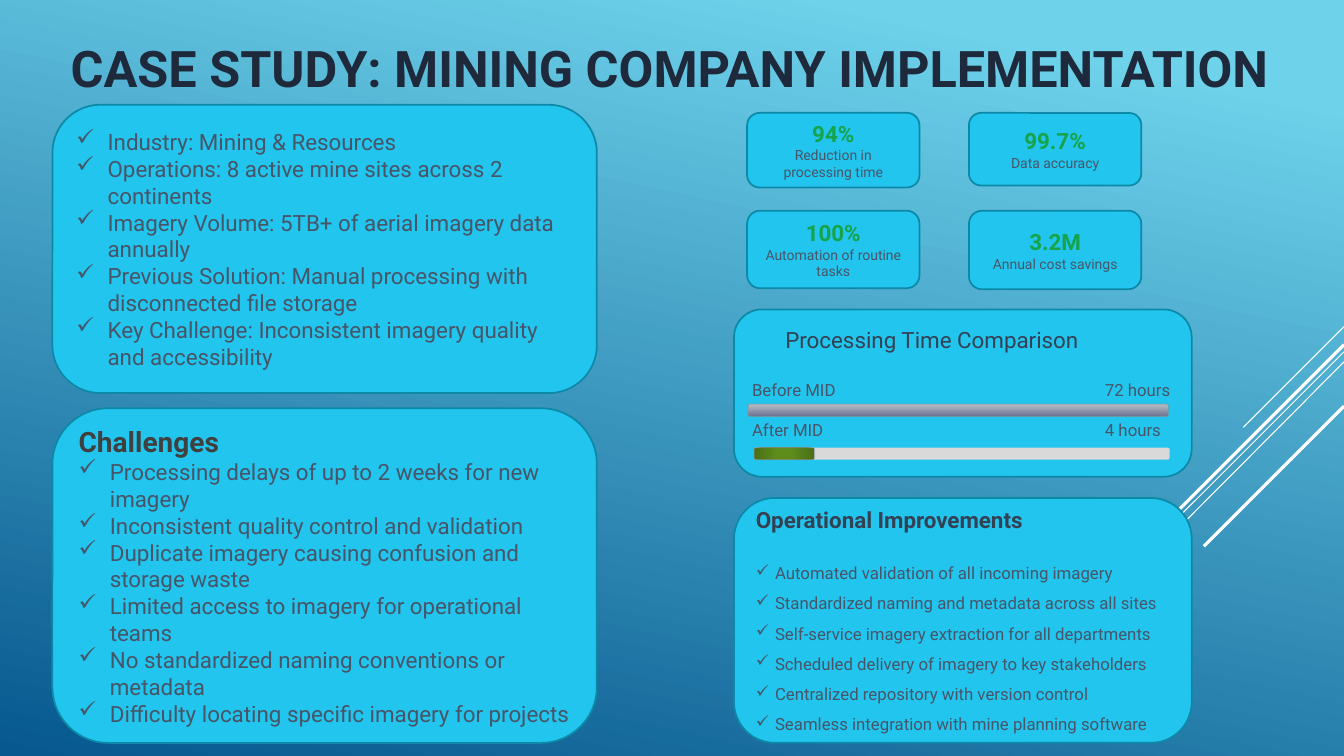
from lxml.etree import SubElement
from pptx import Presentation
from pptx.dml.color import RGBColor
from pptx.enum.shapes import MSO_CONNECTOR, MSO_SHAPE
from pptx.enum.text import MSO_ANCHOR, PP_ALIGN
from pptx.oxml.ns import qn
from pptx.util import Inches, Pt

FONT = "Roboto"
PANEL, EDGE = "22C5ED", "0D89A8"
SLATE, HEADING, GREEN = "475569", "334155", "16A34A"

INDUSTRY = [
    "Industry: Mining & Resources",
    "Operations: 8 active mine sites across 2 continents",
    "Imagery Volume: 5TB+ of aerial imagery data annually",
    "Previous Solution: Manual processing with disconnected file storage",
    "Key Challenge: Inconsistent imagery quality and accessibility",
]
CHALLENGES = [
    "Processing delays of up to 2 weeks for new imagery",
    "Inconsistent quality control and validation",
    "Duplicate imagery causing confusion and storage waste",
    "Limited access to imagery for operational teams",
    "No standardized naming conventions or metadata",
    "Difficulty locating specific imagery for projects",
]
IMPROVEMENTS = [
    "Automated validation of all incoming imagery",
    "Standardized naming and metadata across all sites",
    "Self-service imagery extraction for all departments",
    "Scheduled delivery of imagery to key stakeholders",
    "Centralized repository with version control",
    "Seamless integration with mine planning software",
]
METRICS = [
    ("94%", "Reduction in processing time", 0.74),
    ("99.7%", "Data accuracy", 0.72),
    ("100%", "Automation of routine tasks", 0.77),
    ("3.2M", "Annual cost savings", 0.78),
]
RAYS = [
    (3.24, 12.33, 4.24, 0.75),
    (3.49, 10.07, 6.75, 0.75),
    (3.59, 11.26, 5.67, 0.75),
    (3.42, 11.42, 5.33, 2.25),
    (4.03, 11.94, 5.42, 2.25),
]


def rgb(value):
    """Turn a hex string into a colour."""
    return RGBColor.from_string(value)


def fill_gradient(fill, stops, angle):
    """Give a fill two gradient stops and a clockwise angle."""
    fill.gradient()
    fill.gradient_angle = 360 - angle
    for stop, (position, color) in zip(fill.gradient_stops, stops):
        stop.position = position
        stop.color.rgb = rgb(color)


def add_ray(slide, top, end_x, end_y, weight):
    """Draw a white diagonal from the right edge of the slide."""
    ray = slide.shapes.add_connector(MSO_CONNECTOR.STRAIGHT, Inches(13.33), Inches(top),
                                     Inches(end_x), Inches(end_y))
    ray.line.color.rgb = rgb("FFFFFF")
    ray.line.width = Pt(weight)
    SubElement(ray._element.spPr, qn("a:effectLst"))


def add_rounded(slide, left, top, width, height):
    """Add a rounded rectangle without shadow."""
    shape = slide.shapes.add_shape(MSO_SHAPE.ROUNDED_RECTANGLE, Inches(left), Inches(top),
                                   Inches(width), Inches(height))
    shape.shadow.inherit = False
    return shape


def add_panel(slide, left, top, width, height):
    """Add a cyan panel and return its text frame."""
    panel = add_rounded(slide, left, top, width, height)
    panel.fill.solid()
    panel.fill.fore_color.rgb = rgb(PANEL)
    panel.line.color.rgb = rgb(EDGE)
    panel.line.width = Pt(1.25)
    frame = panel.text_frame
    frame.word_wrap = True
    frame.vertical_anchor = MSO_ANCHOR.MIDDLE
    return frame


def add_text(frame, text, size, color, bold=False, align=PP_ALIGN.LEFT,
             indent=0, bullet=False, tab=None):
    """Write a paragraph, using the empty first one when it is free."""
    first = frame.paragraphs[0]
    paragraph = frame.add_paragraph() if first.runs else first
    paragraph.text = text
    properties = paragraph._p.get_or_add_pPr()
    if indent:
        properties.set("marL", str(Inches(indent)))
    if bullet:
        properties.set("indent", str(-Inches(indent)))
        SubElement(properties, qn("a:buChar"), char="✓")
    if tab:
        tabs = SubElement(properties, qn("a:tabLst"))
        SubElement(tabs, qn("a:tab"), pos=str(Inches(tab)), algn="l")
    paragraph.alignment = align
    font = paragraph.font
    font.name, font.size, font.bold = FONT, Pt(size), bold
    font.color.rgb = rgb(color)
    return paragraph


def add_checklist(frame, items, size, indent, spacing=None):
    """Write ticked paragraphs."""
    for item in items:
        paragraph = add_text(frame, item, size, SLATE, indent=indent, bullet=True)
        if spacing:
            paragraph.line_spacing = spacing


def add_metrics(slide):
    """Lay out the metric cards in two columns."""
    for index, (value, label, height) in enumerate(METRICS):
        row, column = divmod(index, 2)
        card = add_panel(slide, 7.41 + 2.2 * column, 1.12 + 0.97 * row, 1.71, height)
        add_text(card, value, 16, GREEN, bold=True, align=PP_ALIGN.CENTER)
        add_text(card, label, 10, SLATE, align=PP_ALIGN.CENTER)


def outline_bar(bar):
    """Give a bar a thin translucent outline."""
    bar.line.color.rgb = rgb("89919C")
    bar.line.width = Pt(0.75)
    color = bar.line._ln.find(".//" + qn("a:srgbClr"))
    SubElement(color, qn("a:alpha"), val="60000")


def add_comparison(slide):
    """Build the processing time panel and its bars."""
    panel = add_panel(slide, 7.28, 3.07, 4.54, 1.66)
    panel.margin_bottom = Inches(0.25)
    add_text(panel, "Processing Time Comparison", 16, HEADING, indent=0.33)
    for text, gap in (("Before MID\t72 hours", 19), ("After MID\t4 hours", 14)):
        add_text(panel, text, 12, SLATE, tab=3.5).space_before = Pt(gap)

    before = add_rounded(slide, 7.42, 4.01, 4.17, 0.12)
    fill_gradient(before.fill, [(0, "B8BEC6"), (1, "6C7493")], 90)
    outline_bar(before)

    track = add_rounded(slide, 7.48, 4.44, 4.12, 0.12)
    track.fill.solid()
    track.fill.fore_color.rgb = rgb("D9D9D9")
    track.line.fill.background()

    after = add_rounded(slide, 7.48, 4.44, 0.6, 0.12)
    fill_gradient(after.fill, [(0.23, "5E8D1C"), (0.97, "4A6F16")], 90)
    gradient = after._element.spPr.find(qn("a:gradFill"))
    gradient.remove(gradient.find(qn("a:lin")))
    circle = SubElement(gradient, qn("a:path"), path="circle")
    SubElement(circle, qn("a:fillToRect"), {side: "50000" for side in "ltrb"})
    outline_bar(after)


def add_title(slide, text):
    """Place and format the slide title."""
    title = slide.shapes.title
    title.left, title.top = Inches(0.6), Inches(0.3)
    title.width, title.height = Inches(12.14), Inches(0.74)
    title.text_frame.vertical_anchor = MSO_ANCHOR.MIDDLE
    add_text(title.text_frame, text, 36, "1E293B", bold=True)


def main():
    """Build and save the case study slide."""
    deck = Presentation()
    deck.slide_width, deck.slide_height = Inches(13.33), Inches(7.5)
    slide = deck.slides.add_slide(deck.slide_layouts[5])
    fill_gradient(slide.background.fill, [(0.1, "6ED2EB"), (1, "06588E")], 102)
    for ray in RAYS:
        add_ray(slide, *ray)
    add_title(slide, "CASE STUDY: MINING COMPANY IMPLEMENTATION")

    add_checklist(add_panel(slide, 0.52, 1.04, 5.4, 2.86), INDUSTRY, 16, 0.31)
    challenges = add_panel(slide, 0.52, 4.05, 5.4, 3.32)
    add_text(challenges, "Challenges", 20, "404040", bold=True)
    add_checklist(challenges, CHALLENGES, 16, 0.31)

    add_metrics(slide)
    add_comparison(slide)
    improvements = add_panel(slide, 7.28, 4.94, 4.54, 2.43)
    add_text(improvements, "Operational Improvements", 16, HEADING, bold=True).space_after = Pt(14)
    add_checklist(improvements, IMPROVEMENTS, 12, 0.19, spacing=1.5)
    deck.save("out.pptx")


if __name__ == "__main__":
    main()
